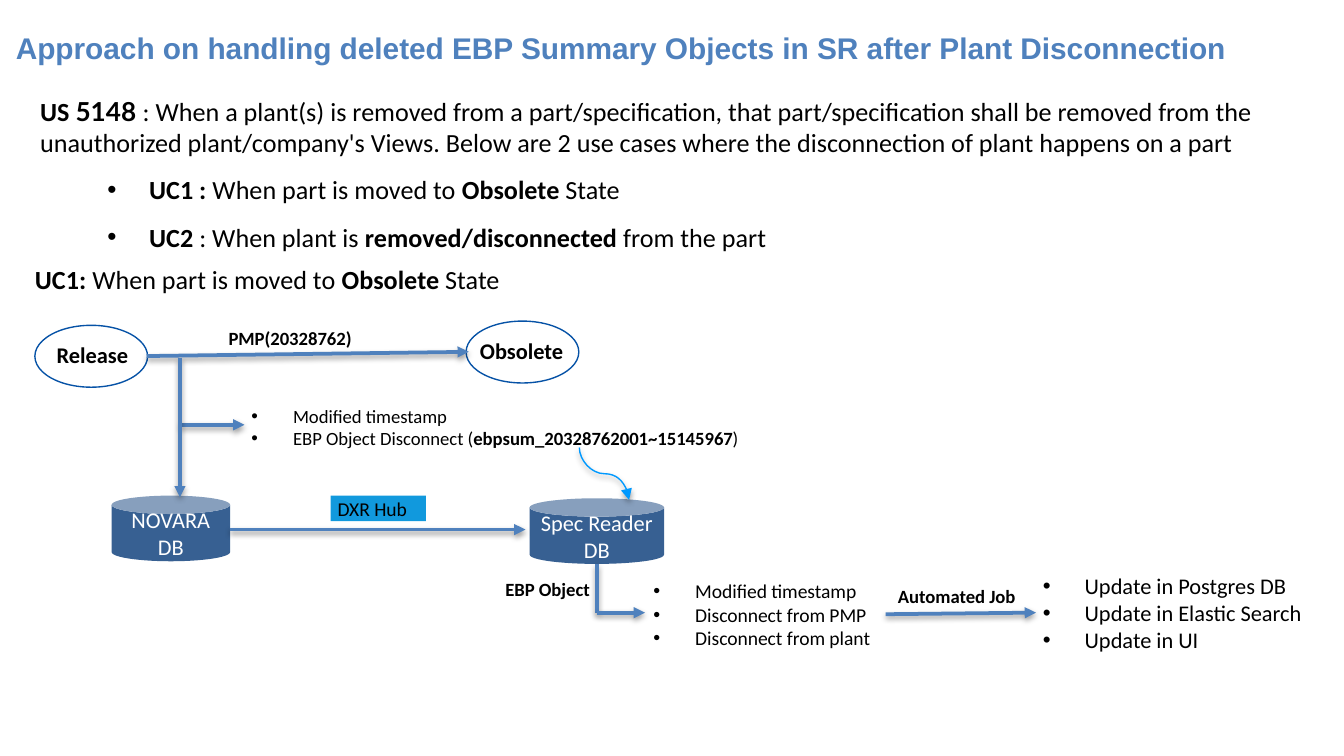
from dataclasses import dataclass

from lxml.etree import SubElement
from pptx import Presentation
from pptx.dml.color import RGBColor
from pptx.enum.shapes import MSO_CONNECTOR, MSO_SHAPE
from pptx.enum.text import MSO_ANCHOR, MSO_AUTO_SIZE, PP_ALIGN
from pptx.oxml.ns import qn
from pptx.util import Cm, Pt


@dataclass(frozen=True)
class Theme:
    font: str = "Calibri"
    title_font: str = "Arial"
    number_font: str = "Lato"
    text: str = "000000"
    light_text: str = "FFFFFF"
    accent: str = "4F81BD"
    outline: str = "0652A6"
    database: str = "376092"
    hub: str = "1199DD"
    curve: str = "0099FF"
    title_size: float = 16
    body_size: float = 14
    node_size: float = 12
    detail_size: float = 10.5
    label_size: float = 10


theme = Theme()

# Boxes are left, top, width, height in cm; **double stars** mark bold text.
TITLE = ("Approach on handling deleted EBP Summary Objects in SR after Plant Disconnection",
         (0.05, 0.56, 25.12, 0.86))
INTRO_BOX = (0.51, 1.68, 24.59, 3.15)
STORY_NUMBER = "5148 "
STORY = (
    "**US **",
    ": When a plant(s) is removed from a part/specification, that part/specification shall be "
    "removed from the unauthorized plant/company's Views. Below are 2 use cases where the "
    "disconnection of plant happens on a part",
)
USE_CASES = [
    "**UC1 : **When part is moved to **Obsolete** State",
    "**UC2** : When plant is **removed/disconnected **from the part",
]
HEADING = ("**UC1: **When part is moved to **Obsolete** State", (0.41, 4.85, 24.59, 0.86))
STATES = [(0.66, 6.15, 2.13, 1.17), (8.81, 6.07, 2.13, 1.17)]
LABELS = [
    ("**Release**", theme.node_size, (0.94, 6.32, 1.63, 0.76)),
    ("**Obsolete**", theme.node_size, (8.94, 6.25, 1.85, 0.76)),
    ("**PMP(20328762)**", theme.label_size, (4.19, 6.05, 2.64, 0.69)),
    ("**EBP Object**", theme.label_size, (9.42, 10.8, 1.88, 0.69)),
    ("**Automated Job**", theme.label_size, (16.84, 10.92, 2.51, 0.69)),
]
DETAILS = [
    (["Modified timestamp", "EBP Object Disconnect (**ebpsum_20328762001~15145967**)"],
     theme.label_size, (4.62, 7.52, 9.68, 1.12)),
    (["Modified timestamp", "Disconnect from PMP", "Disconnect from plant"],
     theme.detail_size, (12.22, 10.82, 4.42, 1.6)),
    (["Update in Postgres DB", "Update in Elastic Search", "Update in UI"],
     theme.node_size, (19.58, 10.69, 5.23, 1.8)),
]
DATABASES = [
    ("NOVARA DB", (2.11, 9.37, 2.24, 1.24)),
    ("Spec Reader DB", (10.01, 9.42, 2.54, 1.24)),
]
HUB = ("DXR Hub", (6.25, 9.37, 1.8, 0.48))
# Start x, y, end x, y, and whether the line ends in an arrowhead
FLOWS = [
    (2.77, 6.73, 8.86, 6.65, True),
    (3.4, 8.03, 4.62, 8.03, True),
    (3.4, 6.76, 3.4, 9.4, True),
    (4.34, 10.01, 9.93, 10.01, True),
    (11.28, 10.67, 11.28, 11.58, False),
    (11.28, 11.58, 12.19, 11.58, True),
    (16.74, 11.61, 19.58, 11.58, True),
]
CURVE = (10.95, 8.46, 11.89, 9.45)
INSET = 0.13
BULLET_INDENT = 0.79


def color(value):
    return RGBColor.from_string(value)


def style(paragraph, size, text_color=theme.text, font=theme.font):
    paragraph.font.name = font
    paragraph.font.size = Pt(size)
    paragraph.font.color.rgb = color(text_color)


def add_runs(paragraph, text):
    for index, part in enumerate(text.split("**")):
        if part:
            run = paragraph.add_run()
            run.text = part
            run.font.bold = index % 2 == 1


def add_bullet(paragraph, left=BULLET_INDENT):
    properties = paragraph._p.get_or_add_pPr()
    properties.set("marL", str(Cm(left)))
    properties.set("indent", str(-Cm(BULLET_INDENT)))
    SubElement(properties, qn("a:buFont"), typeface="Arial")
    SubElement(properties, qn("a:buChar"), char="•")


def set_insets(frame):
    frame.margin_left = frame.margin_right = Cm(INSET)
    frame.margin_top = frame.margin_bottom = Cm(INSET)


def add_text(slide, texts, size, box, bulleted=False, wrap=True, tight=False):
    frame = slide.shapes.add_textbox(*map(Cm, box)).text_frame
    frame.word_wrap = wrap
    frame.auto_size = MSO_AUTO_SIZE.SHAPE_TO_FIT_TEXT
    if tight:
        set_insets(frame)
    for index, text in enumerate(texts):
        paragraph = frame.add_paragraph() if index else frame.paragraphs[0]
        if bulleted:
            add_bullet(paragraph)
        style(paragraph, size)
        add_runs(paragraph, text)
    return frame


def add_intro(slide):
    frame = add_text(slide, STORY[:1], theme.body_size, INTRO_BOX)
    story = frame.paragraphs[0]
    add_runs(story, f"**{STORY_NUMBER}**")
    story.runs[-1].font.name = theme.number_font
    add_runs(story, STORY[1])
    for text in USE_CASES:
        paragraph = frame.add_paragraph()
        add_bullet(paragraph, left=2.06)
        paragraph.line_spacing = 1.5
        style(paragraph, theme.body_size)
        add_runs(paragraph, text)


def add_node(slide, kind, box, fill=None, line=None):
    shape = slide.shapes.add_shape(kind, *map(Cm, box))
    shape.shadow.inherit = False
    if fill:
        shape.fill.solid()
        shape.fill.fore_color.rgb = color(fill)
    else:
        shape.fill.background()
    if line:
        shape.line.color.rgb = color(line)
        shape.line.width = Pt(0.75)
    else:
        shape.line.fill.background()
    return shape


def write_in(shape, text, size, text_color, align):
    frame = shape.text_frame
    frame.word_wrap = True
    frame.vertical_anchor = MSO_ANCHOR.MIDDLE
    set_insets(frame)
    paragraph = frame.paragraphs[0]
    paragraph.alignment = align
    style(paragraph, size, text_color)
    add_runs(paragraph, text)


def add_flow(slide, kind, ends, line_color, width, arrow=True):
    connector = slide.shapes.add_connector(kind, *map(Cm, ends))
    connector.line.color.rgb = color(line_color)
    connector.line.width = Pt(width)
    if arrow:
        SubElement(connector.line._get_or_add_ln(), qn("a:tailEnd"), type="triangle")
    effects = SubElement(connector._element.spPr, qn("a:effectLst"))
    shadow = SubElement(effects, qn("a:outerShdw"), blurRad=str(Pt(3)), dist=str(Pt(1.6)),
                        dir="5400000", rotWithShape="0")
    shade = SubElement(shadow, qn("a:srgbClr"), val="000000")
    SubElement(shade, qn("a:alpha"), val="38000")
    return connector


def add_falling_curve(slide):
    """Draw an S-curve that leaves and arrives vertically: a mirrored one, turned by 270°."""
    x1, y1, x2, y2 = CURVE
    middle_x, middle_y = (x1 + x2) / 2, (y1 + y2) / 2
    half_width, half_height = (y2 - y1) / 2, (x2 - x1) / 2
    ends = (middle_x - half_width, middle_y - half_height,
            middle_x + half_width, middle_y + half_height)
    connector = add_flow(slide, MSO_CONNECTOR.CURVE, ends, theme.curve, 0.75)
    transform = connector._element.spPr.find(qn("a:xfrm"))
    transform.set("rot", "16200000")
    transform.set("flipH", "1")


def main():
    presentation = Presentation()
    presentation.slide_width, presentation.slide_height = Cm(25.4), Cm(14.29)
    slide = presentation.slides.add_slide(presentation.slide_layouts[6])

    text, box = TITLE
    title = add_text(slide, [f"**{text}**"], theme.title_size, box).paragraphs[0]
    title.line_spacing = 0.8
    style(title, theme.title_size, theme.accent, theme.title_font)
    add_intro(slide)
    add_text(slide, HEADING[:1], theme.body_size, HEADING[1])

    for box in STATES:
        add_node(slide, MSO_SHAPE.OVAL, box, line=theme.outline)
    for text, box in DATABASES:
        database = add_node(slide, MSO_SHAPE.CAN, box, fill=theme.database)
        database.adjustments[0] = 0.28
        write_in(database, text, theme.node_size, theme.light_text, PP_ALIGN.CENTER)
    text, box = HUB
    hub = add_node(slide, MSO_SHAPE.RECTANGLE, box, fill=theme.hub)
    write_in(hub, text, theme.detail_size, theme.text, PP_ALIGN.LEFT)

    for *ends, arrow in FLOWS:
        add_flow(slide, MSO_CONNECTOR.STRAIGHT, ends, theme.accent, 2, arrow)
    add_falling_curve(slide)
    for text, size, box in LABELS:
        add_text(slide, [text], size, box, wrap=False, tight=True)
    for texts, size, box in DETAILS:
        add_text(slide, texts, size, box, bulleted=True, tight=True)
    presentation.save("out.pptx")


if __name__ == "__main__":
    main()
